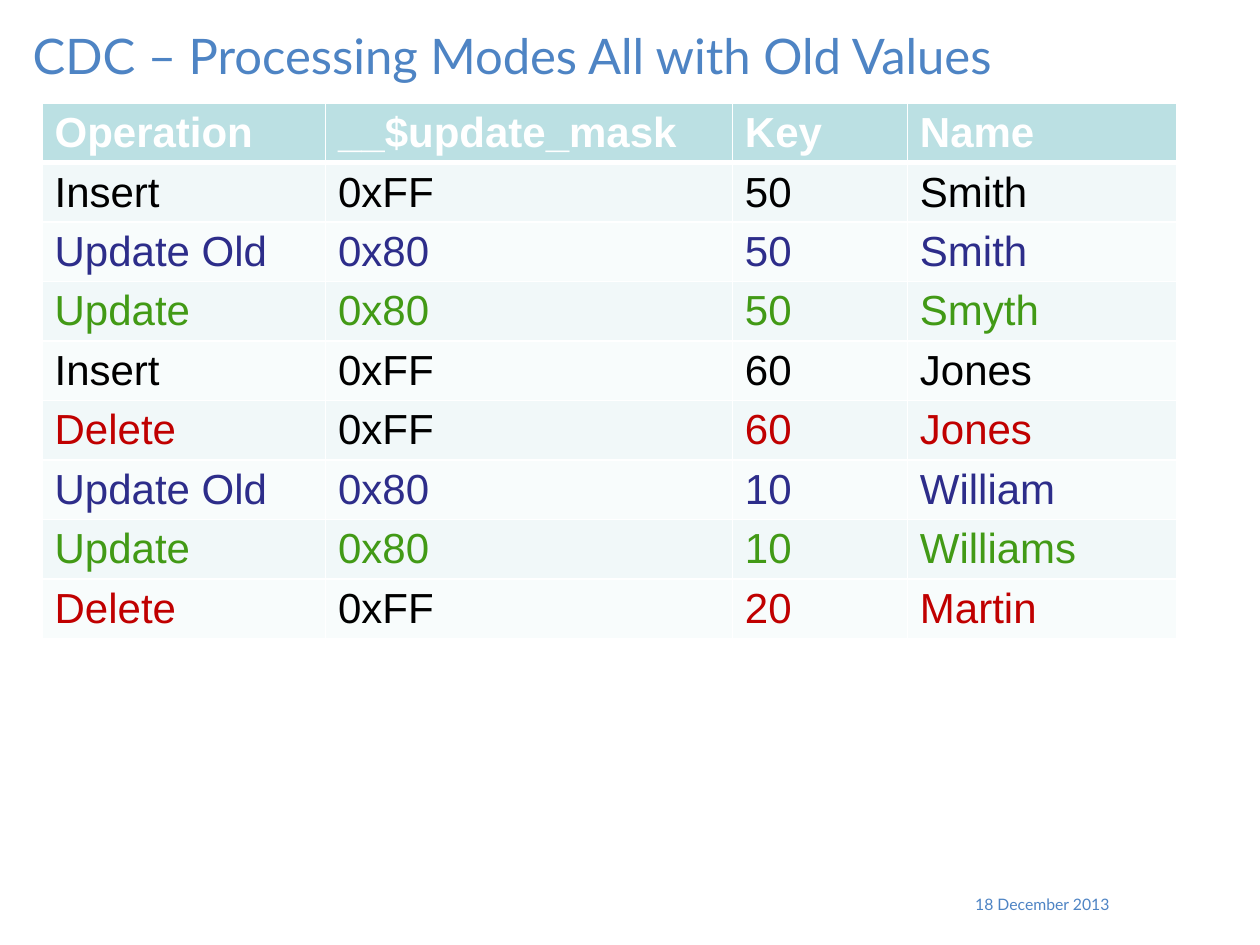
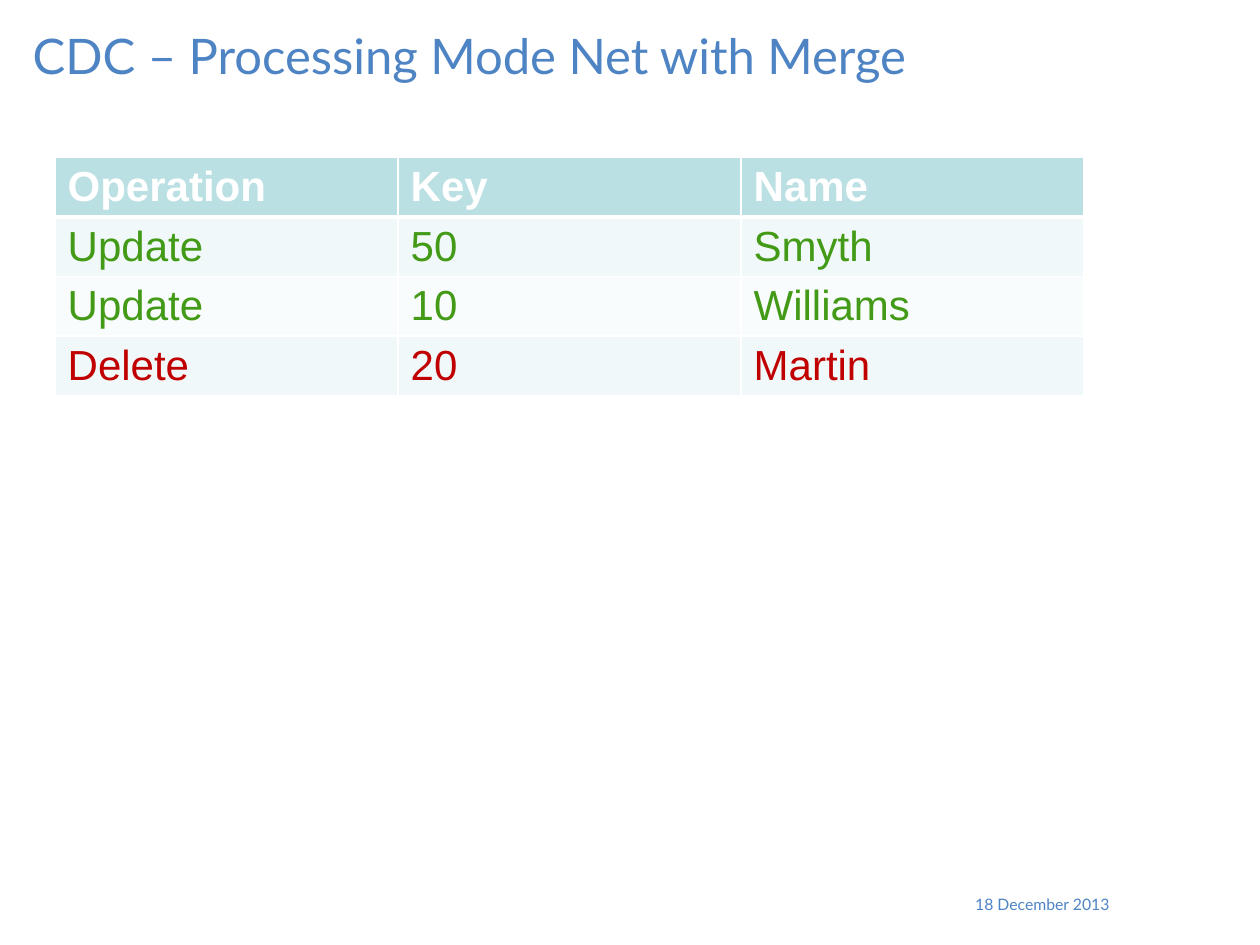
from dataclasses import dataclass

from lxml.etree import SubElement
from pptx import Presentation
from pptx.dml.color import RGBColor
from pptx.enum.text import MSO_ANCHOR, MSO_AUTO_SIZE, PP_ALIGN
from pptx.oxml.ns import qn
from pptx.util import Pt


@dataclass(frozen=True)
class Theme:
    accent: str = "4E84C4"
    white: str = "FFFFFF"
    black: str = "000000"
    header_fill: str = "BBE0E3"
    band_fills: tuple = ("F1F8F9", "F8FCFC")
    heading_font: str = "Lato"
    table_font: str = "Arial"
    title_size: float = 28
    table_size: float = 24
    date_size: float = 9
    row_height: float = 34
    thin_rule: float = 1
    header_rule: float = 3


THEME = Theme()
OPERATION_COLORS = {"Insert": THEME.black, "Update Old": "2D2D8A",
                    "Update": "429A16", "Delete": "C00000"}
FULL_MASK = "0xFF"

# Boxes: left, top, width, height in points
TITLE_BOX = (11.5, 11, 695, 48)
DATE_BOX = (529, 508, 112, 25)

CHANGE_SLIDES = [
    {
        "title": "CDC – Processing Modes All with Old Values",
        "origin": (24, 59),
        "widths": (162, 232.5, 100, 154),
        "rows": [
            ("Operation", "__$update_mask", "Key", "Name"),
            ("Insert", "0xFF", "50", "Smith"),
            ("Update Old", "0x80", "50", "Smith"),
            ("Update", "0x80", "50", "Smyth"),
            ("Insert", "0xFF", "60", "Jones"),
            ("Delete", "0xFF", "60", "Jones"),
            ("Update Old", "0x80", "10", "William"),
            ("Update", "0x80", "10", "Williams"),
            ("Delete", "0xFF", "20", "Martin"),
        ],
    },
    {
        "title": "CDC – Processing Mode Net with Merge",
        "origin": (31.5, 90),
        "widths": (196, 196, 196),
        "rows": [
            ("Operation", "Key", "Name"),
            ("Update", "50", "Smyth"),
            ("Update", "10", "Williams"),
            ("Delete", "20", "Martin"),
        ],
    },
]


def write_text(frame, text, font, size, color, align=PP_ALIGN.LEFT, bold=False):
    frame.word_wrap = True
    paragraph = frame.paragraphs[0]
    paragraph.alignment = align
    run = paragraph.add_run()
    run.text = text
    for attribute, value in {"name": font, "size": Pt(size), "bold": bold}.items():
        setattr(run.font, attribute, value)
    run.font.color.rgb = RGBColor.from_string(color)


def set_frame(frame):
    settings = {
        "auto_size": MSO_AUTO_SIZE.NONE, "vertical_anchor": MSO_ANCHOR.TOP,
        "margin_left": Pt(7.2), "margin_right": Pt(7.2),
        "margin_top": Pt(3.6), "margin_bottom": Pt(3.6),
    }
    for attribute, value in settings.items():
        setattr(frame, attribute, value)


def add_title(slide, box, text):
    title = slide.shapes.title
    for side, length in zip(("left", "top", "width", "height"), box):
        setattr(title, side, Pt(length))
    set_frame(title.text_frame)
    write_text(title.text_frame, text, THEME.heading_font, THEME.title_size,
               THEME.accent)


def add_date(slide, box):
    date = slide.shapes.add_textbox(*map(Pt, box))
    set_frame(date.text_frame)
    write_text(date.text_frame, "18 December 2013", THEME.heading_font,
               THEME.date_size, THEME.accent, PP_ALIGN.RIGHT)


def draw_borders(cell, row_index):
    # Borders come before the fill in the cell properties
    widths = dict.fromkeys(("lnL", "lnR", "lnT", "lnB"), THEME.thin_rule)
    if row_index == 0:
        widths["lnB"] = THEME.header_rule
    elif row_index == 1:
        widths["lnT"] = THEME.header_rule
    properties = cell._tc.get_or_add_tcPr()
    for edge, width in widths.items():
        line = SubElement(properties, qn(f"a:{edge}"), w=str(Pt(width)))
        fill = SubElement(line, qn("a:solidFill"))
        SubElement(fill, qn("a:srgbClr"), val=THEME.white)


def format_cell(cell, text, operation, row_index):
    is_header = row_index == 0
    if is_header:
        fill, color = THEME.header_fill, THEME.white
    else:
        fill = THEME.band_fills[(row_index - 1) % 2]
        color = THEME.black if text == FULL_MASK else OPERATION_COLORS[operation]
    draw_borders(cell, row_index)
    cell.fill.solid()
    cell.fill.fore_color.rgb = RGBColor.from_string(fill)
    write_text(cell.text_frame, text, THEME.table_font, THEME.table_size,
               color, bold=is_header)


def add_change_table(slide, origin, widths, rows):
    box = (*origin, sum(widths), THEME.row_height * len(rows))
    changes = slide.shapes.add_table(len(rows), len(widths), *map(Pt, box)).table
    for column, width in zip(changes.columns, widths):
        column.width = Pt(width)
    for row_index, values in enumerate(rows):
        changes.rows[row_index].height = Pt(THEME.row_height)
        for column_index, text in enumerate(values):
            format_cell(changes.cell(row_index, column_index), text,
                        values[0], row_index)


def add_change_slide(deck, title, origin, widths, rows):
    slide = deck.slides.add_slide(deck.slide_layouts.get_by_name("Title Only"))
    add_title(slide, TITLE_BOX, title)
    add_change_table(slide, origin, widths, rows)
    add_date(slide, DATE_BOX)


def main():
    deck = Presentation()
    deck.slide_width, deck.slide_height = Pt(720), Pt(540)
    for content in CHANGE_SLIDES:
        add_change_slide(deck, **content)
    deck.save("out.pptx")


if __name__ == "__main__":
    main()
